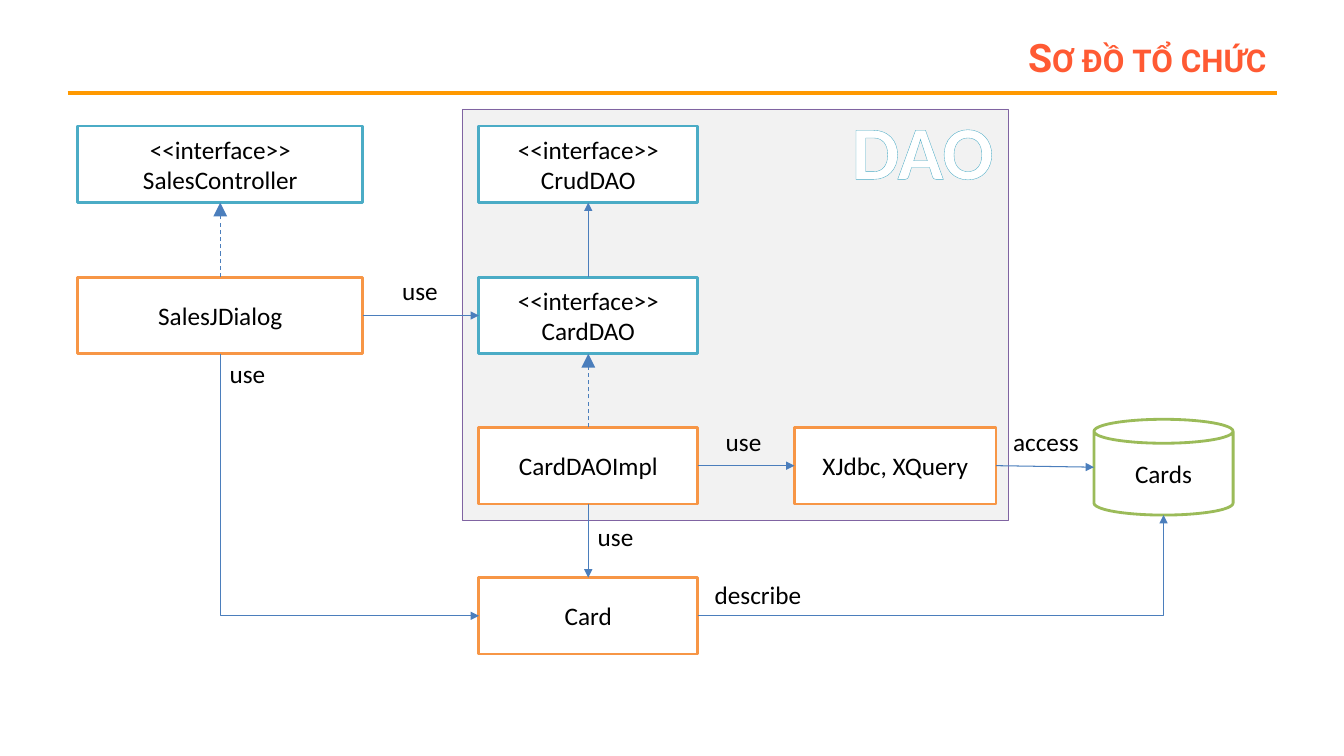
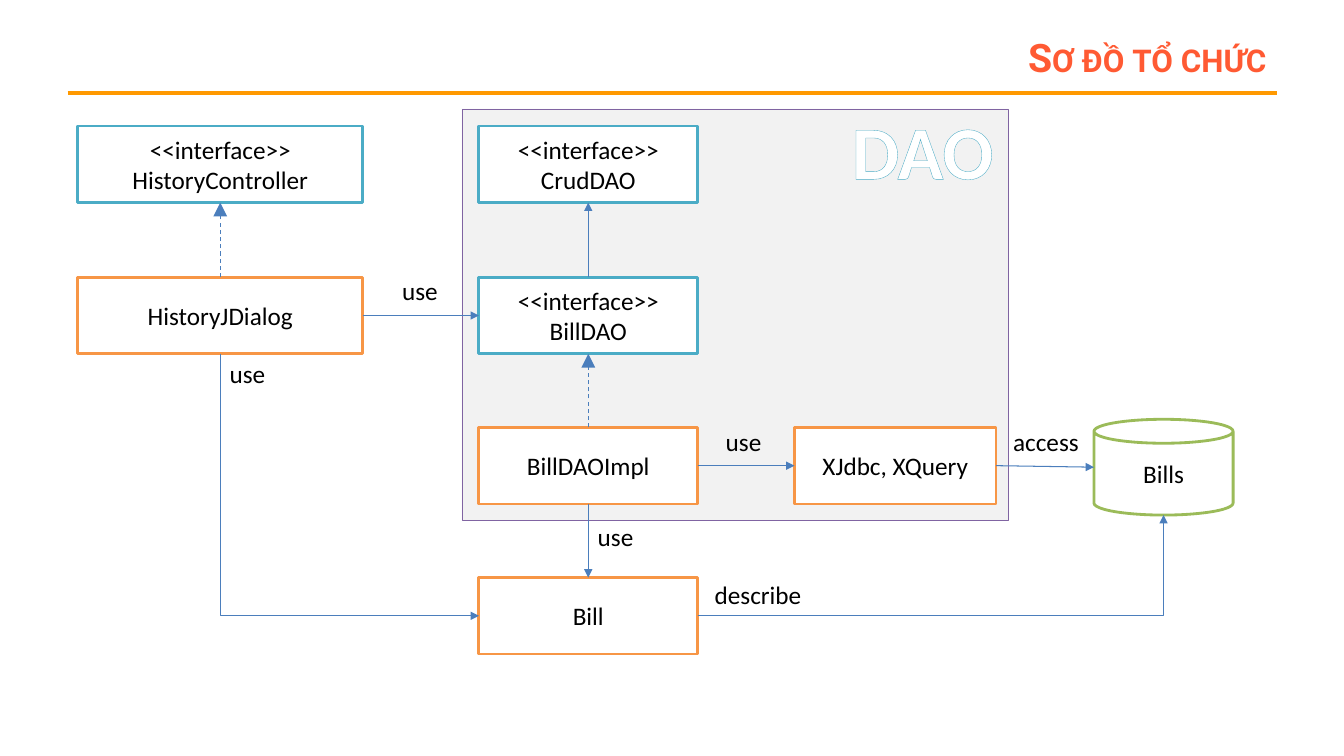
from dataclasses import dataclass
from typing import Optional

from lxml.etree import SubElement
from pptx import Presentation
from pptx.dml.color import RGBColor
from pptx.enum.dml import MSO_LINE
from pptx.enum.shapes import MSO_CONNECTOR, MSO_SHAPE
from pptx.enum.text import MSO_ANCHOR, MSO_AUTO_SIZE, PP_ALIGN
from pptx.oxml.ns import qn
from pptx.shapes.autoshape import Shape
from pptx.shapes.connector import Connector
from pptx.slide import Slide
from pptx.util import Inches, Pt

WHITE = RGBColor(0xFF, 0xFF, 0xFF)
BLACK = RGBColor(0x00, 0x00, 0x00)
TITLE_RED = RGBColor(0xFF, 0x5A, 0x33)
RULE_ORANGE = RGBColor(0xFF, 0x99, 0x00)
PANEL_GREY = RGBColor(0xF2, 0xF2, 0xF2)
PANEL_PURPLE = RGBColor(0x80, 0x64, 0xA2)
INTERFACE_TEAL = RGBColor(0x4B, 0xAC, 0xC6)
CLASS_ORANGE = RGBColor(0xF7, 0x96, 0x46)
STORE_GREEN = RGBColor(0x9B, 0xBB, 0x59)
ARROW_BLUE = RGBColor(0x4B, 0x7E, 0xBC)

BODY_FONT = "Calibri"
TITLE_FONT = "Roboto"
INTERFACE = "<<interface>>"
TOP, LEFT, BOTTOM, RIGHT = range(4)

ROWS = (1.25, 2.75, 4.24, 5.73)
ROW_HEIGHT = 0.76
VIEW_X, VIEW_WIDTH = 0.77, 2.83
DAO_X, DAO_WIDTH = 4.75, 2.17


@dataclass(frozen=True)
class Diagram:
    view: str
    entity: str


@dataclass(frozen=True)
class Node:
    key: str
    lines: tuple[str, ...]
    left: float
    top: float
    width: float
    color: RGBColor
    height: float = ROW_HEIGHT
    kind: MSO_SHAPE = MSO_SHAPE.RECTANGLE


@dataclass(frozen=True)
class Arrow:
    start: str
    start_side: int
    end: str
    end_side: int
    realizes: bool = False


@dataclass(frozen=True)
class Label:
    text: str
    left: float
    top: float
    width: float = 0.56


DIAGRAMS = (Diagram("Sales", "Card"), Diagram("History", "Bill"))

ARROWS = (
    Arrow("impl", TOP, "dao", BOTTOM, realizes=True),
    Arrow("dialog", TOP, "controller", BOTTOM, realizes=True),
    Arrow("dao", TOP, "crud", BOTTOM),
    Arrow("dialog", RIGHT, "dao", LEFT),
    Arrow("impl", RIGHT, "helpers", LEFT),
    Arrow("helpers", RIGHT, "table", LEFT),
    Arrow("impl", BOTTOM, "entity", TOP),
)

LABELS = (
    Label("use", 3.89, 2.68),
    Label("use", 2.18, 3.51),
    Label("use", 5.83, 5.12),
    Label("use", 7.1, 4.18),
    Label("describe", 6.99, 5.7, 1.07),
    Label("access", 9.95, 4.18, 0.86),
)


def diagram_nodes(diagram: Diagram) -> tuple[Node, ...]:
    view, entity = diagram.view, diagram.entity
    return (
        Node("controller", (INTERFACE, f"{view}Controller"),
             VIEW_X, ROWS[0], VIEW_WIDTH, INTERFACE_TEAL),
        Node("dialog", (f"{view}JDialog",), VIEW_X, ROWS[1], VIEW_WIDTH, CLASS_ORANGE),
        Node("crud", (INTERFACE, "CrudDAO"), DAO_X, ROWS[0], DAO_WIDTH, INTERFACE_TEAL),
        Node("dao", (INTERFACE, f"{entity}DAO"), DAO_X, ROWS[1], DAO_WIDTH, INTERFACE_TEAL),
        Node("impl", (f"{entity}DAOImpl",), DAO_X, ROWS[2], DAO_WIDTH, CLASS_ORANGE),
        Node("entity", (entity,), DAO_X, ROWS[3], DAO_WIDTH, CLASS_ORANGE),
        Node("helpers", ("XJdbc, XQuery",), 7.88, ROWS[2], 2, CLASS_ORANGE),
        Node("table", (f"{entity}s",), 10.85, 4.16, 1.38, STORE_GREEN, 0.95, MSO_SHAPE.CAN),
    )


def add_box(page: Slide, kind: MSO_SHAPE, left: float, top: float, width: float,
            height: float, fill: RGBColor, line: RGBColor, weight: float) -> Shape:
    box = page.shapes.add_shape(kind, Inches(left), Inches(top), Inches(width), Inches(height))
    box.shadow.inherit = False
    box.fill.solid()
    box.fill.fore_color.rgb = fill
    box.line.color.rgb = line
    box.line.width = Pt(weight)
    return box


def add_node(page: Slide, node: Node) -> Shape:
    box = add_box(page, node.kind, node.left, node.top, node.width, node.height,
                  WHITE, node.color, 2)
    frame = box.text_frame
    frame.word_wrap = True
    frame.vertical_anchor = MSO_ANCHOR.MIDDLE
    frame.text = "\n".join(node.lines)
    for para in frame.paragraphs:
        para.alignment = PP_ALIGN.CENTER
        style_font(para.font, BODY_FONT, 18, BLACK)
    return box


def style_font(font, name: str, size: float, color: RGBColor, bold: bool = False) -> None:
    font.name = name
    font.size = Pt(size)
    font.bold = bold
    font.color.rgb = color


def add_text_box(page: Slide, left: float, top: float, width: float, height: float) -> Shape:
    return page.shapes.add_textbox(Inches(left), Inches(top), Inches(width), Inches(height))


def add_label(page: Slide, label: Label) -> None:
    frame = add_text_box(page, label.left, label.top, label.width, 0.4).text_frame
    frame.word_wrap = False
    frame.auto_size = MSO_AUTO_SIZE.SHAPE_TO_FIT_TEXT
    frame.text = label.text
    style_font(frame.paragraphs[0].font, BODY_FONT, 18, BLACK)


def style_line(connector: Connector, color: RGBColor, weight: float) -> None:
    connector.line.color.rgb = color
    connector.line.width = Pt(weight)
    SubElement(connector._element.spPr, qn("a:effectLst"))


def style_arrow(connector: Connector, realizes: bool = False) -> None:
    style_line(connector, ARROW_BLUE, 0.75)
    if realizes:
        connector.line.dash_style = MSO_LINE.DASH
    line = connector._element.spPr.find(qn("a:ln"))
    tail = SubElement(line, qn("a:tailEnd"), type="triangle")
    if realizes:
        tail.set("w", "lg")
        tail.set("len", "lg")


def side_point(box: Shape, side: int) -> tuple[int, int]:
    middle_x, middle_y = box.left + box.width // 2, box.top + box.height // 2
    return {
        TOP: (middle_x, box.top),
        LEFT: (box.left, middle_y),
        BOTTOM: (middle_x, box.top + box.height),
        RIGHT: (box.left + box.width, middle_y),
    }[side]


def add_arrow(page: Slide, arrow: Arrow, boxes: dict[str, Shape]) -> None:
    start, end = boxes[arrow.start], boxes[arrow.end]
    connector = page.shapes.add_connector(
        MSO_CONNECTOR.STRAIGHT,
        *side_point(start, arrow.start_side), *side_point(end, arrow.end_side))
    connector.begin_connect(start, arrow.start_side)
    if end.auto_shape_type == MSO_SHAPE.RECTANGLE:
        connector.end_connect(end, arrow.end_side)
    style_arrow(connector, arrow.realizes)


def add_elbow(page: Slide, start: tuple[int, int], end: tuple[int, int],
              rotation: Optional[int] = None) -> None:
    """Draw a one-bend arrow that leaves its start sideways before any rotation."""
    connector = page.shapes.add_connector(MSO_CONNECTOR.ELBOW, *start, *end)
    properties = connector._element.spPr
    properties.find(qn("a:prstGeom")).set("prst", "bentConnector2")
    if rotation:
        properties.find(qn("a:xfrm")).set("rot", str(rotation * 60000))
    style_arrow(connector)


def add_down_elbow(page: Slide, start: tuple[int, int], end: tuple[int, int]) -> None:
    """Draw an arrow that goes down, then right: a mirrored elbow turned by 270 degrees."""
    center_x, center_y = (start[0] + end[0]) // 2, (start[1] + end[1]) // 2
    half_x, half_y = (end[1] - start[1]) // 2, (end[0] - start[0]) // 2
    add_elbow(page, (center_x + half_x, center_y - half_y),
              (center_x - half_x, center_y + half_y), 270)


def add_header(page: Slide) -> None:
    rule = page.shapes.add_connector(
        MSO_CONNECTOR.STRAIGHT, Inches(0.67), Inches(0.92), Inches(12.67), Inches(0.92))
    style_line(rule, RULE_ORANGE, 3)
    frame = add_text_box(page, 2.44, 0.3, 10.22, 0.53).text_frame
    frame.word_wrap = True
    frame.vertical_anchor = MSO_ANCHOR.MIDDLE
    para = frame.paragraphs[0]
    para.alignment = PP_ALIGN.RIGHT
    span = para.add_run()
    span.text = "Sơ đồ tổ chức"
    style_font(span.font, TITLE_FONT, 28, TITLE_RED, bold=True)
    span._r.get_or_add_rPr().set("cap", "small")


def add_panel_name(page: Slide) -> None:
    frame = add_text_box(page, 8.34, 0.98, 1.62, 1.01).text_frame
    frame.word_wrap = False
    frame.auto_size = MSO_AUTO_SIZE.SHAPE_TO_FIT_TEXT
    para = frame.paragraphs[0]
    para.alignment = PP_ALIGN.CENTER
    span = para.add_run()
    span.text = "DAO"
    style_font(span.font, BODY_FONT, 54, WHITE, bold=True)
    # Outlined letters
    properties = span._r.get_or_add_rPr()
    outline = SubElement(properties, qn("a:ln"), w=str(Pt(0.8)))
    fill = SubElement(outline, qn("a:solidFill"))
    SubElement(fill, qn("a:srgbClr"), val=str(INTERFACE_TEAL))
    properties.insert(0, outline)


def add_diagram(page: Slide, diagram: Diagram) -> None:
    # Header and DAO panel
    add_header(page)
    add_box(page, MSO_SHAPE.RECTANGLE, 4.58, 1.08, 5.42, 4.08, PANEL_GREY, PANEL_PURPLE, 0.25)
    # Classes, interfaces and table
    boxes = {node.key: add_node(page, node) for node in diagram_nodes(diagram)}
    # Relations
    for arrow in ARROWS:
        add_arrow(page, arrow, boxes)
    add_elbow(page, side_point(boxes["entity"], RIGHT), side_point(boxes["table"], BOTTOM))
    add_down_elbow(page, side_point(boxes["dialog"], BOTTOM), side_point(boxes["entity"], LEFT))
    # Labels
    for label in LABELS:
        add_label(page, label)
    add_panel_name(page)


def main() -> None:
    deck = Presentation()
    deck.slide_width, deck.slide_height = Inches(13.33), Inches(7.5)
    blank = deck.slide_layouts[6]
    for diagram in DIAGRAMS:
        add_diagram(deck.slides.add_slide(blank), diagram)
    deck.save("out.pptx")


if __name__ == "__main__":
    main()
